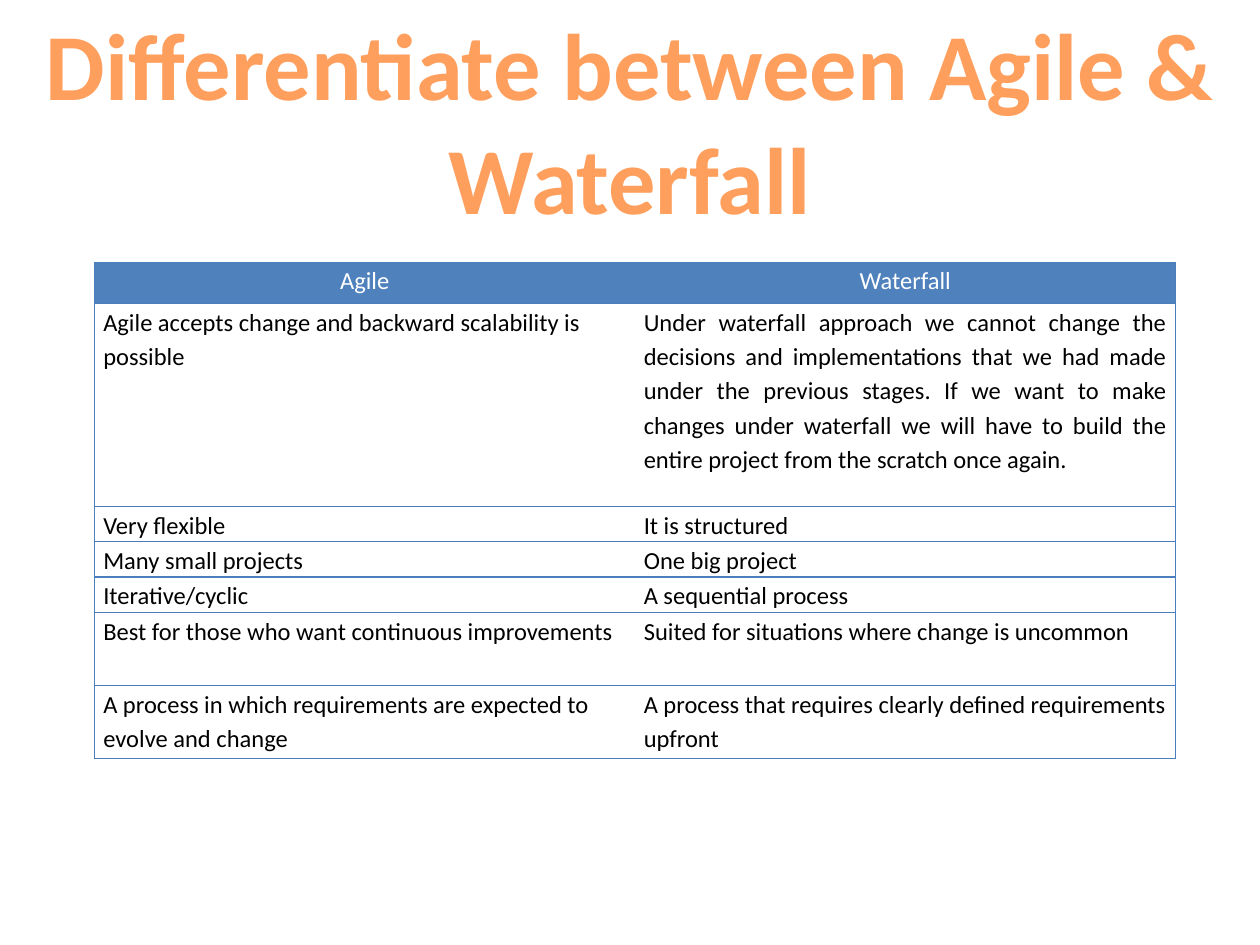
from typing import NamedTuple

from lxml.etree import SubElement
from pptx import Presentation
from pptx.dml.color import RGBColor
from pptx.enum.text import MSO_ANCHOR, PP_ALIGN as Align
from pptx.oxml.ns import qn
from pptx.util import Inches, Pt

FONT = "Calibri"
BLUE, WHITE, BLACK = "4F81BD", "FFFFFF", "000000"
BORDER = "4B7EBC"
TITLE_STOPS = [(0, "FFA367"), (25, "FF9F5D"), (50, "F38E3A"), (75, "FF9F5D"), (100, "FFA367")]
WIDTH, HEIGHT = 10, 7.5
COLUMN_WIDTH = 4.29
LINE_ROW, TWO_LINE_ROW = 0.28, 0.58


class Row(NamedTuple):
    agile: str
    waterfall: str
    height: float
    agile_align: Align = Align.LEFT
    waterfall_align: Align = Align.LEFT
    fill: str = WHITE
    ink: str = BLACK


ROWS = [
    Row("Agile", "Waterfall", 0.33, Align.CENTER, Align.CENTER, BLUE, WHITE),
    Row("Agile accepts change and backward scalability is possible",
        "Under waterfall approach we cannot change the decisions and implementations that "
        "we had made under the previous stages. If we want to make changes under waterfall "
        "we will have to build the entire project from the scratch once again.",
        1.61, waterfall_align=Align.JUSTIFY),
    Row("Very flexible", "It is structured", LINE_ROW),
    Row("Many small projects", "One big project", LINE_ROW),
    Row("Iterative/cyclic", "A sequential process", LINE_ROW),
    Row("Best for those who want continuous improvements",
        "Suited for situations where change is uncommon", TWO_LINE_ROW),
    Row("A process in which requirements are expected to evolve and change",
        "A process that requires clearly defined requirements upfront", TWO_LINE_ROW),
]


def color(value: str) -> RGBColor:
    return RGBColor.from_string(value)


def add_span(para, text: str, size: float, bold: bool = False):
    span = para.add_run()
    span.text = text
    span.font.name, span.font.size, span.font.bold = FONT, Pt(size), bold
    return span


def add_title(slide, text: str) -> None:
    box = slide.shapes.add_textbox(0, 0, Inches(WIDTH), Inches(1.92))
    box.text_frame.word_wrap = True
    para = box.text_frame.paragraphs[0]
    para.alignment = Align.CENTER
    span = add_span(para, text, 54, bold=True)
    fill = span.font.fill
    fill.gradient()
    fill.gradient_angle = 270
    stops = span.font._element.find(".//" + qn("a:gsLst"))
    for stop in list(stops):
        stops.remove(stop)
    for percent, value in TITLE_STOPS:
        stop = SubElement(stops, qn("a:gs"), pos=str(percent * 1000))
        SubElement(stop, qn("a:srgbClr"), val=value)


def set_borders(cell, open_side: str) -> None:
    """Rule every side of the cell except the open one."""
    properties = cell._tc.get_or_add_tcPr()
    for side in ("lnL", "lnR", "lnT", "lnB"):
        line = SubElement(properties, qn(f"a:{side}"), w=str(Pt(0.75)))
        if side == open_side:
            SubElement(line, qn("a:noFill"))
        else:
            SubElement(SubElement(line, qn("a:solidFill")), qn("a:srgbClr"), val=BORDER)


def fill_cell(cell, text: str, align: Align, row: Row, open_side: str) -> None:
    set_borders(cell, open_side)
    cell.fill.solid()
    cell.fill.fore_color.rgb = color(row.fill)
    cell.margin_left = cell.margin_right = Inches(0.07)
    cell.margin_top = cell.margin_bottom = 0
    cell.vertical_anchor = MSO_ANCHOR.TOP
    para = cell.text_frame.paragraphs[0]
    para.alignment, para.line_spacing = align, 1.15
    add_span(para, text, 14).font.color.rgb = color(row.ink)


def add_comparison(slide, rows: list[Row]) -> None:
    frame = slide.shapes.add_table(
        len(rows), 2, Inches(0.75), Inches(2.08),
        Inches(2 * COLUMN_WIDTH), Inches(sum(row.height for row in rows)))
    table = frame.table
    table.first_row = table.horz_banding = False
    for column in table.columns:
        column.width = Inches(COLUMN_WIDTH)
    for index, row in enumerate(rows):
        table.rows[index].height = Inches(row.height)
        fill_cell(table.cell(index, 0), row.agile, row.agile_align, row, "lnR")
        fill_cell(table.cell(index, 1), row.waterfall, row.waterfall_align, row, "lnL")


def main() -> None:
    deck = Presentation()
    deck.slide_width, deck.slide_height = Inches(WIDTH), Inches(HEIGHT)
    slide = deck.slides.add_slide(deck.slide_layouts[6])
    add_title(slide, "Differentiate between Agile & Waterfall")
    add_comparison(slide, ROWS)
    deck.save("out.pptx")


if __name__ == "__main__":
    main()
